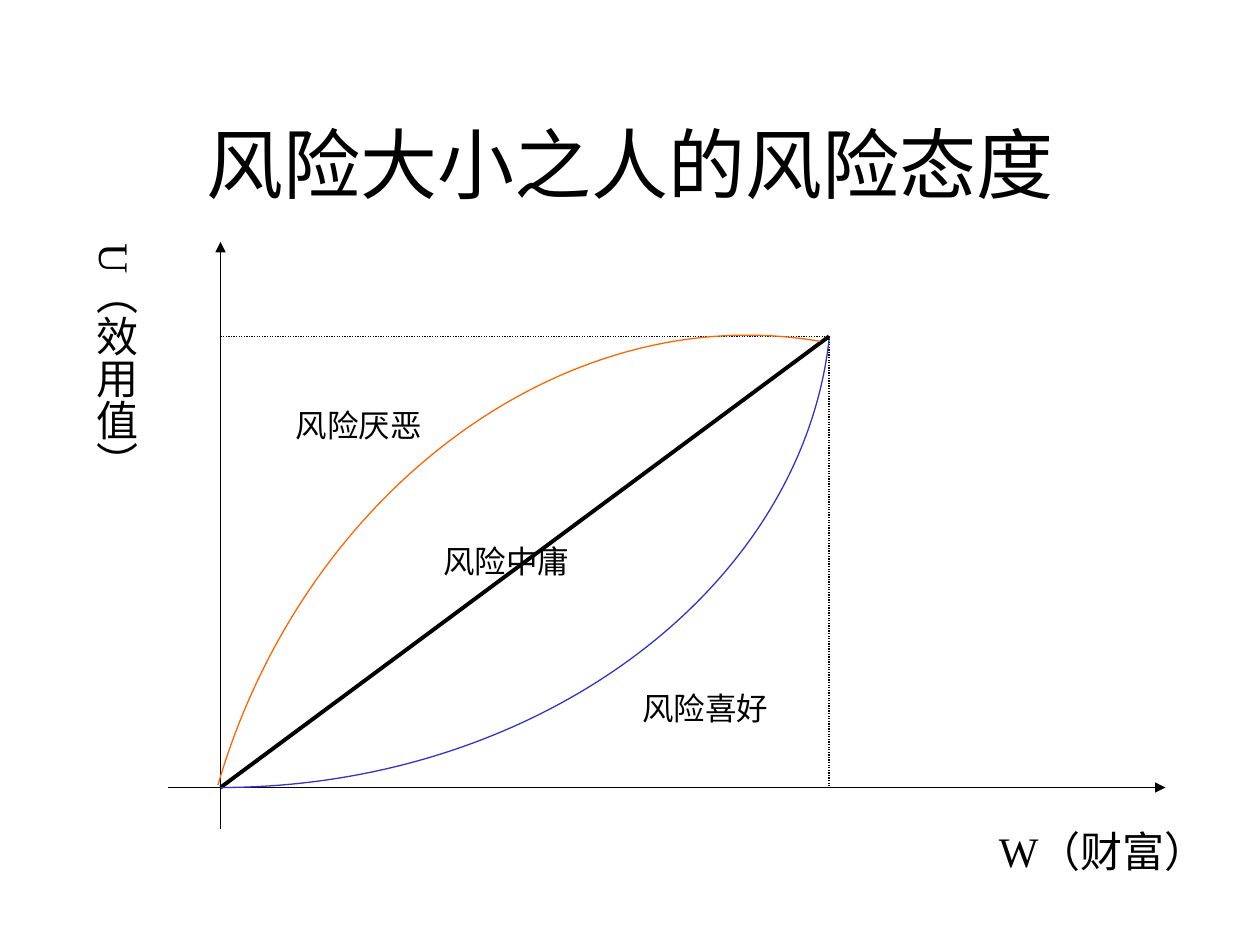
from lxml import etree
from pptx import Presentation
from pptx.dml.color import RGBColor
from pptx.enum.dml import MSO_LINE_DASH_STYLE as DASH
from pptx.enum.shapes import MSO_CONNECTOR
from pptx.enum.text import MSO_ANCHOR, MSO_AUTO_SIZE, PP_ALIGN
from pptx.oxml.ns import qn
from pptx.util import Inches, Pt

FONT = "Times New Roman"
COLORS = {"black": "000000", "averse": "FF6600", "loving": "3333CC"}
TITLE = "风险大小之人的风险态度"

ORIGIN_X, ORIGIN_Y = 1.75, 6.25
END_X, END_Y = 6.58, 2.67

AXES = [
    ((1.33, ORIGIN_Y), (9.25, ORIGIN_Y)),
    ((ORIGIN_X, 6.58), (ORIGIN_X, 1.92)),
]
GUIDES = [
    ((ORIGIN_X, END_Y), (END_X, END_Y)),
    ((END_X, END_Y), (END_X, ORIGIN_Y)),
]
NEUTRAL = ((ORIGIN_X, ORIGIN_Y), (END_X, END_Y))
CURVES = [
    ("loving", [(1.75, 6.25), (4.24, 6.25), (6.35, 4.7), (6.58, 2.7)]),
    ("averse", [(1.73, 6.23), (2.41, 3.9), (4.48, 2.36), (6.51, 2.71)]),
]
LABELS = [
    ("W（财富）", 7.83, 6.5, 1.92, 0.9, 24, False),
    ("U（效用值）", 0.57, 1.83, 0.6, 2.42, 24, True),
    ("风险喜好", 5, 5.42, 1.5, 0.4, 18, False),
    ("风险中庸", 3.42, 4.25, 1.5, 0.4, 18, False),
    ("风险厌恶", 2.25, 3.17, 1.5, 0.4, 18, False),
]


def color(name):
    return RGBColor.from_string(COLORS[name])


def format_text(paragraph, size):
    for run in paragraph.runs:
        run.font.name = FONT
        run.font.size = Pt(size)
        run.font.color.rgb = color("black")


def add_line(slide, start, end, width=0.75, arrow=False, dash=None):
    connector = slide.shapes.add_connector(
        MSO_CONNECTOR.STRAIGHT, *[Inches(value) for value in start + end])
    connector.line.color.rgb = color("black")
    connector.line.width = Pt(width)
    if dash:
        connector.line.dash_style = dash
    properties = connector._element.spPr
    if arrow:
        etree.SubElement(properties.find(qn("a:ln")), qn("a:tailEnd"), type="triangle")
    etree.SubElement(properties, qn("a:effectLst"))


def add_curve(slide, name, points):
    start, *rest = [(Inches(x), Inches(y)) for x, y in points]
    builder = slide.shapes.build_freeform(*start)
    builder.add_line_segments(rest, close=False)
    shape = builder.convert_to_shape()
    shape.shadow.inherit = False
    shape.fill.background()
    shape.line.color.rgb = color(name)
    shape.line.width = Pt(0.75)
    outline = next(shape._element.iter(qn("a:path")))
    bezier = etree.SubElement(outline, qn("a:cubicBezTo"))
    for segment in outline.findall(qn("a:lnTo")):
        bezier.append(segment[0])
        outline.remove(segment)


def add_label(slide, text, left, top, width, height, size, vertical):
    box = slide.shapes.add_textbox(*map(Inches, (left, top, width, height)))
    frame = box.text_frame
    frame.word_wrap = True
    frame.auto_size = MSO_AUTO_SIZE.SHAPE_TO_FIT_TEXT
    if vertical:
        frame.margin_left = frame.margin_right = Inches(0.05)
        frame.margin_top = frame.margin_bottom = Inches(0.1)
        frame._txBody.bodyPr.set("vert", "eaVert")
    frame.text = text
    format_text(frame.paragraphs[0], size)


def main():
    presentation = Presentation()
    presentation.slide_width, presentation.slide_height = Inches(10), Inches(7.5)
    slide = presentation.slides.add_slide(presentation.slide_layouts[5])

    title = slide.shapes.title
    title.left, title.top = Inches(0.75), Inches(0.67)
    title.width, title.height = Inches(8.5), Inches(1.25)
    title.text_frame.text = TITLE
    title.text_frame.vertical_anchor = MSO_ANCHOR.MIDDLE
    title.text_frame.paragraphs[0].alignment = PP_ALIGN.CENTER
    format_text(title.text_frame.paragraphs[0], 44)

    for start, end in AXES:
        add_line(slide, start, end, arrow=True)
    for start, end in GUIDES:
        add_line(slide, start, end, dash=DASH.ROUND_DOT)
    add_line(slide, *NEUTRAL, width=2.25)
    for name, points in CURVES:
        add_curve(slide, name, points)
    for label in LABELS:
        add_label(slide, *label)

    presentation.save("out.pptx")


if __name__ == "__main__":
    main()
